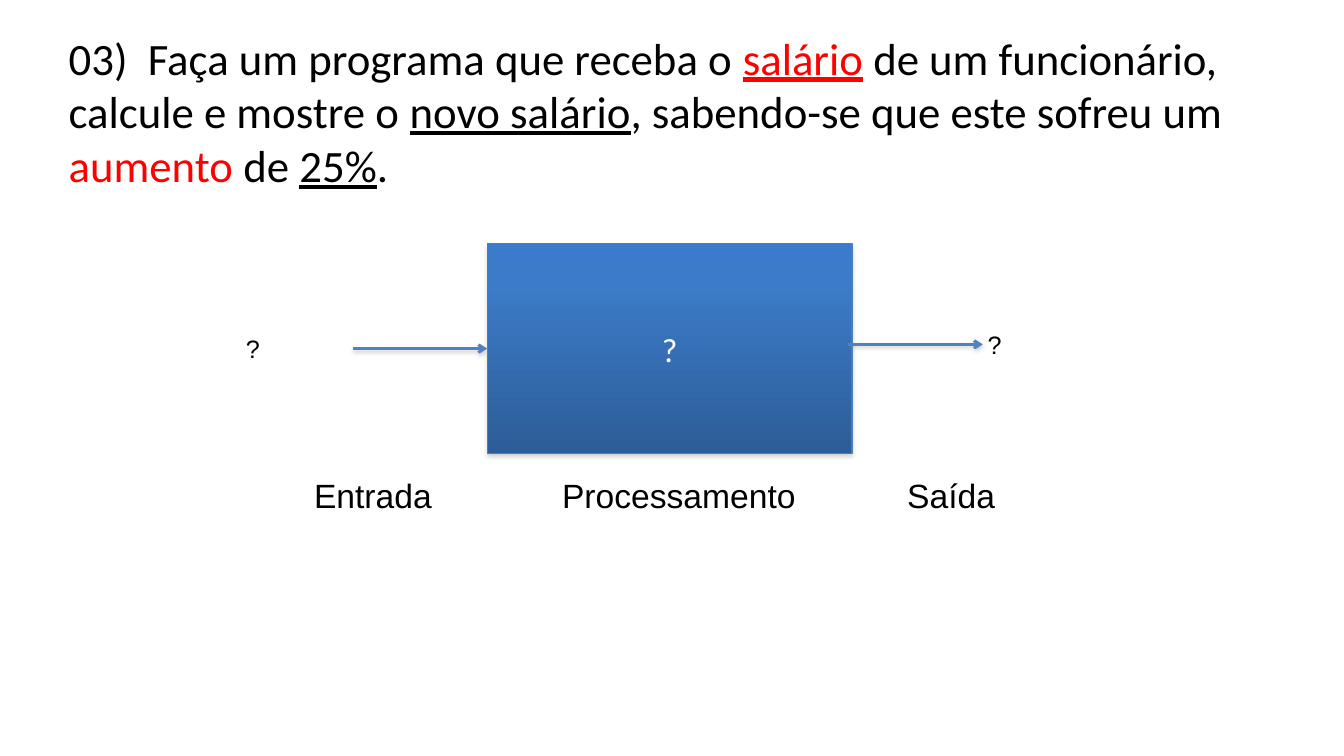
"""Build the exercise slide with its input, processing and output diagram."""
from copy import deepcopy
from pptx import Presentation
from pptx.dml.color import RGBColor
from pptx.enum import shapes, text
from pptx.oxml import parse_xml
from pptx.oxml.ns import nsdecls
from pptx.util import Pt

STATEMENT = [
    ("03)  Faça um programa que receba o ", "ink", False),
    ("salário", "accent", True),
    (" de um funcionário, calcule e mostre o ", "ink", False),
    ("novo salário", "ink", True),
    (", sabendo-se que este sofreu um ", "ink", False),
    ("aumento", "accent", False),
    (" de ", "ink", False),
    ("25%", "ink", True),
    (".", "ink", False),
]
STAGES = [("Entrada", 266.5), ("Processamento", 485), ("Saída", 679.5)]
UNKNOWN = "?"
STATEMENT_AREA = (41.8, 18, 845.3, 229)
PROCESS_AREA = (348, 174, 260.6, 150)
STAGE_AREA = (174, 336, 588, 36.7)
INPUT_AREA = (168.5, 234.7, 24.5, 28.8)
OUTPUT_AREA = (698.4, 231.8, 141.8, 28.8)
ARROWS = [(252, 249), (606, 246)]
ARROW_LENGTH = 96
INSET = 7.2

THEME = {
    "ink": "000000", "accent": "FF0000", "paper": "FFFFFF",
    "arrow": "4F81BD", "outline": "4A7EBB", "shadow": "808080",
    "gradient": [(0, "3A7CCB"), (0.2, "3C7BC7"), (1, "2C5D98")],
    "heading_font": "Calibri", "label_font": "Arial",
    "statement": 32, "stage": 24, "mark": 18,
}


def points(values):
    return [Pt(value) for value in values]


def color(name):
    return RGBColor.from_string(THEME[name])


def format_span(span, size, font, ink="ink"):
    span.font.size = Pt(THEME[size])
    span.font.name = THEME[font]
    span.font.color.rgb = color(ink)


def add_shadow(shape, opacity, distance):
    shape._element.spPr.append(parse_xml(
        f'<a:effectLst {nsdecls("a")}><a:outerShdw blurRad="{Pt(3.1)}" '
        f'dist="{Pt(distance)}" dir="5400000" rotWithShape="0">'
        f'<a:srgbClr val="{THEME["shadow"]}"><a:alpha val="{opacity * 1000}"/>'
        '</a:srgbClr></a:outerShdw></a:effectLst>'))


def add_statement(page):
    page.shapes.title._element.getparent().remove(page.shapes.title._element)
    box = page.placeholders[1]
    box.left, box.top, box.width, box.height = points(STATEMENT_AREA)
    para = box.text_frame.paragraphs[0]
    properties = para._p.get_or_add_pPr()
    properties.set("marL", "0")
    properties.set("indent", "0")
    properties.append(parse_xml(f'<a:buNone {nsdecls("a")}/>'))
    for words, ink, underlined in STATEMENT:
        span = para.add_run()
        span.text = words
        format_span(span, "statement", "heading_font", ink)
        span.font.underline = underlined


def add_process(page):
    box = page.shapes.add_shape(shapes.MSO_SHAPE.RECTANGLE, *points(PROCESS_AREA))
    box.fill.gradient()
    box.fill.gradient_angle = 270
    first = box.fill.gradient_stops[0]._gs
    first.addnext(deepcopy(first))
    for stop, (position, shade) in zip(box.fill.gradient_stops, THEME["gradient"]):
        stop.position = position
        stop.color.rgb = RGBColor.from_string(shade)
    box.line.color.rgb = color("outline")
    box.line.width = Pt(0.75)
    add_shadow(box, 35, 1.8)
    box.text_frame.text = UNKNOWN
    box.text_frame.vertical_anchor = text.MSO_ANCHOR.MIDDLE
    para = box.text_frame.paragraphs[0]
    para.alignment = text.PP_ALIGN.CENTER
    format_span(para.runs[0], "stage", "heading_font", "paper")


def add_arrow(page, left, top):
    arrow = page.shapes.add_connector(
        shapes.MSO_CONNECTOR.STRAIGHT, *points((left, top, left + ARROW_LENGTH, top)))
    arrow.line.color.rgb = color("arrow")
    arrow.line.width = Pt(2)
    arrow.line._get_or_add_ln().append(
        parse_xml(f'<a:tailEnd {nsdecls("a")} type="arrow"/>'))
    add_shadow(arrow, 38, 1.6)


def add_label(page, area, words, size, wrap=True):
    box = page.shapes.add_textbox(*points(area))
    frame = box.text_frame
    frame.word_wrap = wrap
    frame.auto_size = text.MSO_AUTO_SIZE.SHAPE_TO_FIT_TEXT
    frame.text = words
    para = frame.paragraphs[0]
    format_span(para.runs[0], size, "label_font")
    return para


def add_stages(page):
    words = "".join(f"\t{name}" for name, center in STAGES)
    para = add_label(page, STAGE_AREA, words, "stage")
    start = STAGE_AREA[0] + INSET
    tabs = "".join(f'<a:tab pos="{Pt(center - start)}" algn="ctr"/>'
                   for name, center in STAGES)
    para._p.get_or_add_pPr().append(
        parse_xml(f'<a:tabLst {nsdecls("a")}>{tabs}</a:tabLst>'))


def main():
    deck = Presentation()
    deck.slide_width, deck.slide_height = points((960, 540))
    page = deck.slides.add_slide(deck.slide_layouts[1])
    add_statement(page)
    add_process(page)
    for left, top in ARROWS:
        add_arrow(page, left, top)
    add_stages(page)
    add_label(page, INPUT_AREA, UNKNOWN, "mark", wrap=False)
    add_label(page, OUTPUT_AREA, UNKNOWN, "mark")
    deck.save("out.pptx")


if __name__ == "__main__":
    main()
